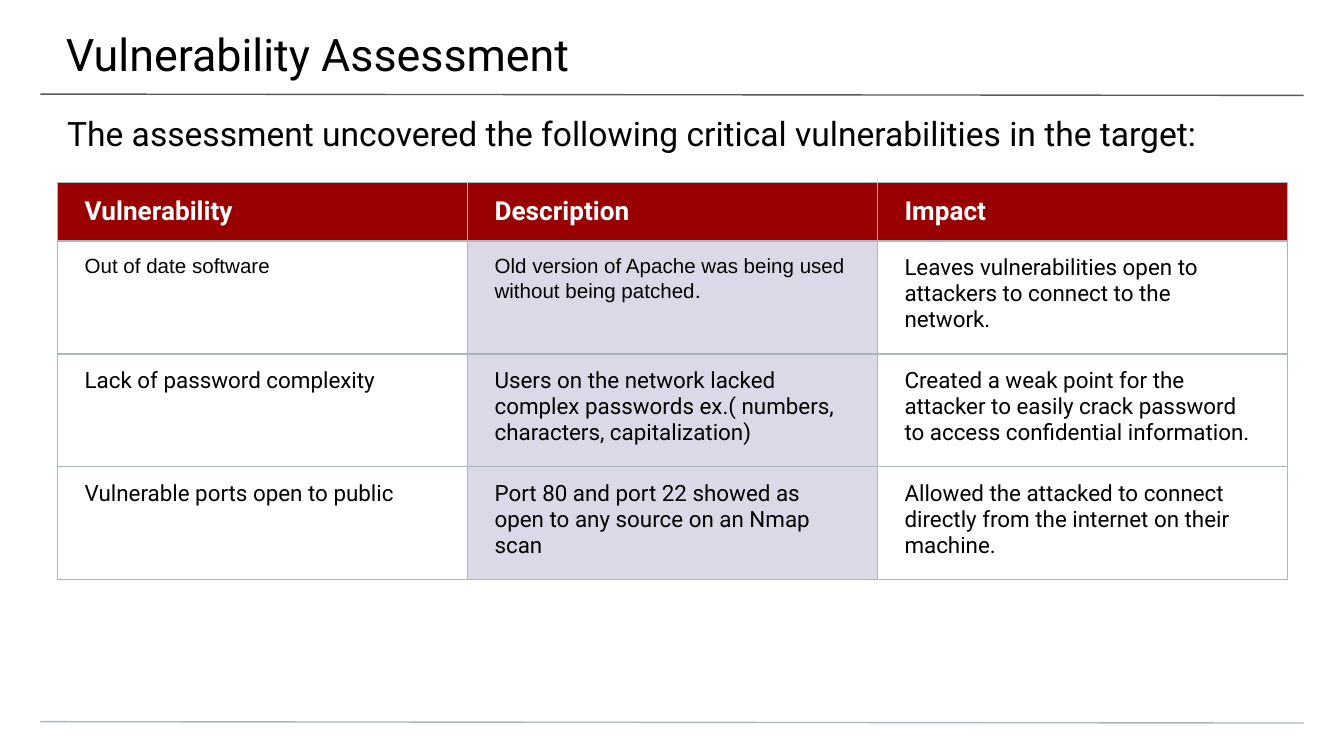
"""Build the Vulnerability Assessment slide with its findings table."""
from lxml import etree
from pptx import Presentation
from pptx.dml.color import RGBColor
from pptx.enum.shapes import MSO_CONNECTOR
from pptx.enum.text import MSO_ANCHOR
from pptx.oxml.ns import qn
from pptx.util import Inches, Pt

STRAIGHT = MSO_CONNECTOR.STRAIGHT
TOP, MIDDLE = MSO_ANCHOR.TOP, MSO_ANCHOR.MIDDLE

COLORS = {"text": "000000", "white": "FFFFFF", "header": "990000",
          "tint": "DBD9E8", "rule": "595959", "border": "A9B7C0"}
BODY, ARIAL = ("Roboto", 12), ("Arial", 11)

HEADINGS = [
    ("Vulnerability Assessment", 24, (-0.01, 0, 10.03, 0.58), (0.5, 0.2, 0.3, 0.1)),
    ("The assessment uncovered the following critical vulnerabilities in the target:",
     18, (0, 0.74, 10, 0.4), (0.5, 0.1, 0.5, 0)),
]
RULES = [(0.7, "rule"), (5.37, "border")]
HEADER = ["Vulnerability", "Description", "Impact"]
FINDINGS = [
    [[("Out of date software", ARIAL)],
     [("Old version of Apache was being used without being patched", ARIAL), (".", BODY)],
     [("Leaves vulnerabilities open to attackers to connect to the network.", BODY)]],
    [[("Lack of password complexity", BODY)],
     [("Users on the network lacked complex passwords ex.( numbers, characters, "
       "capitalization)", BODY)],
     [("Created a weak point for the attacker to easily crack password to access "
       "confidential information.", BODY)]],
    [[("Vulnerable ports open to public", BODY)],
     [("Port 80 and port 22 showed as open to any source on an Nmap scan", BODY)],
     [("Allowed the attacked to connect directly from the internet on their machine.",
       BODY)]],
]
TABLE_LEFT, TABLE_TOP, COLUMN_WIDTH = 0.43, 1.36, 3.05
ROW_HEIGHTS = [0.43] + [0.84] * len(FINDINGS)
CELL_INSETS = (0.2, 0.1, 0.2, 0.1)


def rgb(name):
    return RGBColor.from_string(COLORS[name])


def set_margins(target, insets):
    (target.margin_left, target.margin_top,
     target.margin_right, target.margin_bottom) = map(Inches, insets)


def add_run(p, text, font, size, color="text", bold=False):
    r = p.add_run()
    r.text = text
    r.font.name, r.font.size, r.font.bold = font, Pt(size), bold
    r.font.color.rgb = rgb(color)


def add_heading(s, text, size, box, insets):
    tf = s.shapes.add_textbox(*map(Inches, box)).text_frame
    tf.word_wrap = True
    tf.vertical_anchor = TOP
    set_margins(tf, insets)
    add_run(tf.paragraphs[0], text, "Roboto", size)


def add_rule(s, y, color):
    line = s.shapes.add_connector(STRAIGHT, *map(Inches, (0.3, y, 9.7, y + 0.01)))
    line.line.color.rgb = rgb(color)
    line.line.width = Pt(0.75)
    etree.SubElement(line._element.spPr, qn("a:effectLst"))


def set_borders(cell):
    tc_pr = cell._tc.get_or_add_tcPr()
    for i, side in enumerate(("lnL", "lnR", "lnT", "lnB")):
        ln = etree.Element(qn(f"a:{side}"), w=str(Pt(0.75)))
        fill = etree.SubElement(ln, qn("a:solidFill"))
        etree.SubElement(fill, qn("a:srgbClr"), val=COLORS["border"])
        tc_pr.insert(i, ln)


def fill_cell(cell, runs, fill, anchor, color="text", bold=False):
    set_margins(cell, CELL_INSETS)
    cell.vertical_anchor = anchor
    if fill:
        cell.fill.solid()
        cell.fill.fore_color.rgb = rgb(fill)
    else:
        cell.fill.background()
    set_borders(cell)
    for text, (font, size) in runs:
        add_run(cell.text_frame.paragraphs[0], text, font, size, color, bold)


def add_findings(s):
    box = (TABLE_LEFT, TABLE_TOP, COLUMN_WIDTH * len(HEADER), sum(ROW_HEIGHTS))
    table = s.shapes.add_table(len(ROW_HEIGHTS), len(HEADER), *map(Inches, box)).table
    table.horz_banding = False
    for column in table.columns:
        column.width = Inches(COLUMN_WIDTH)
    for row, height in zip(table.rows, ROW_HEIGHTS):
        row.height = Inches(height)
    for c, title in enumerate(HEADER):
        fill_cell(table.cell(0, c), [(title, ("Roboto", 14))], "header", MIDDLE,
                  "white", True)
        for r, finding in enumerate(FINDINGS, 1):
            fill = "tint" if title == "Description" else None
            fill_cell(table.cell(r, c), finding[c], fill, TOP)


def main():
    prs = Presentation()
    prs.slide_width = Inches(10)
    prs.slide_height = prs.slide_width * 9 // 16
    s = prs.slides.add_slide(prs.slide_layouts[6])
    for rule in RULES:
        add_rule(s, *rule)
    for heading in HEADINGS:
        add_heading(s, *heading)
    add_findings(s)
    prs.save("out.pptx")


if __name__ == "__main__":
    main()
